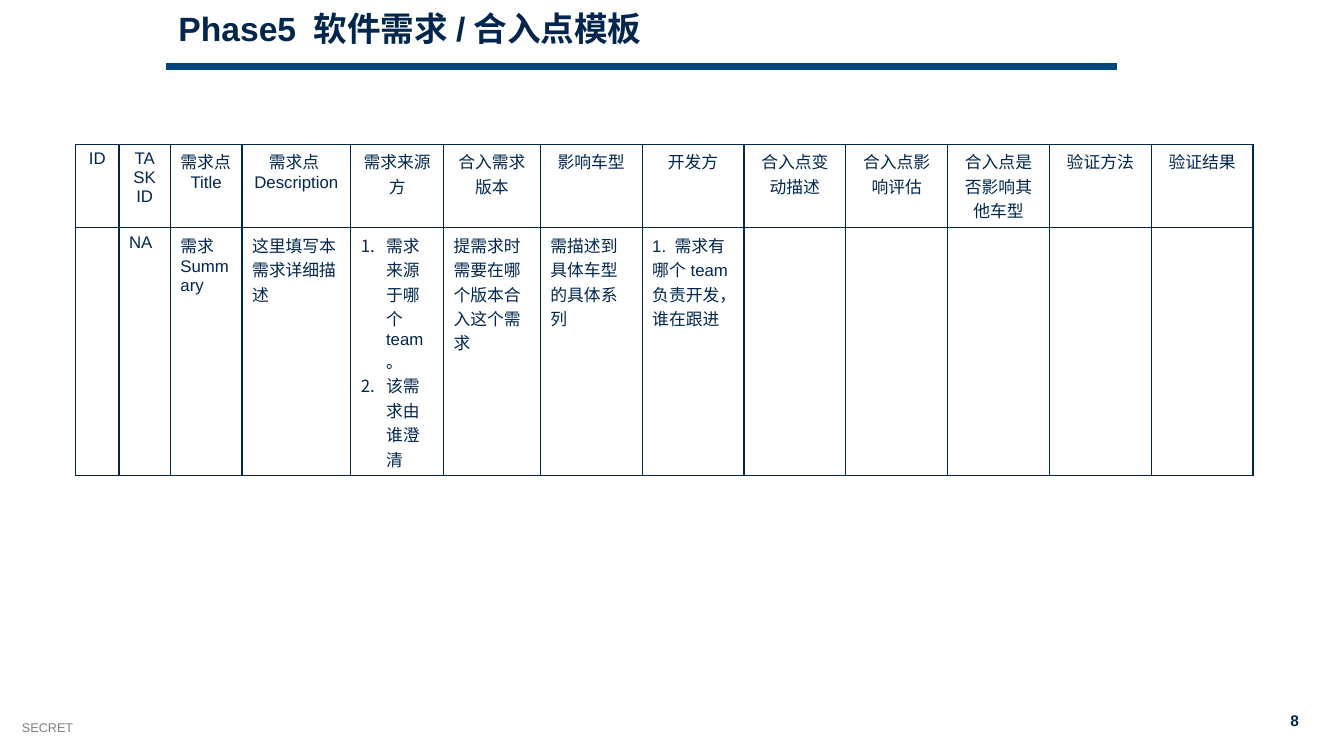
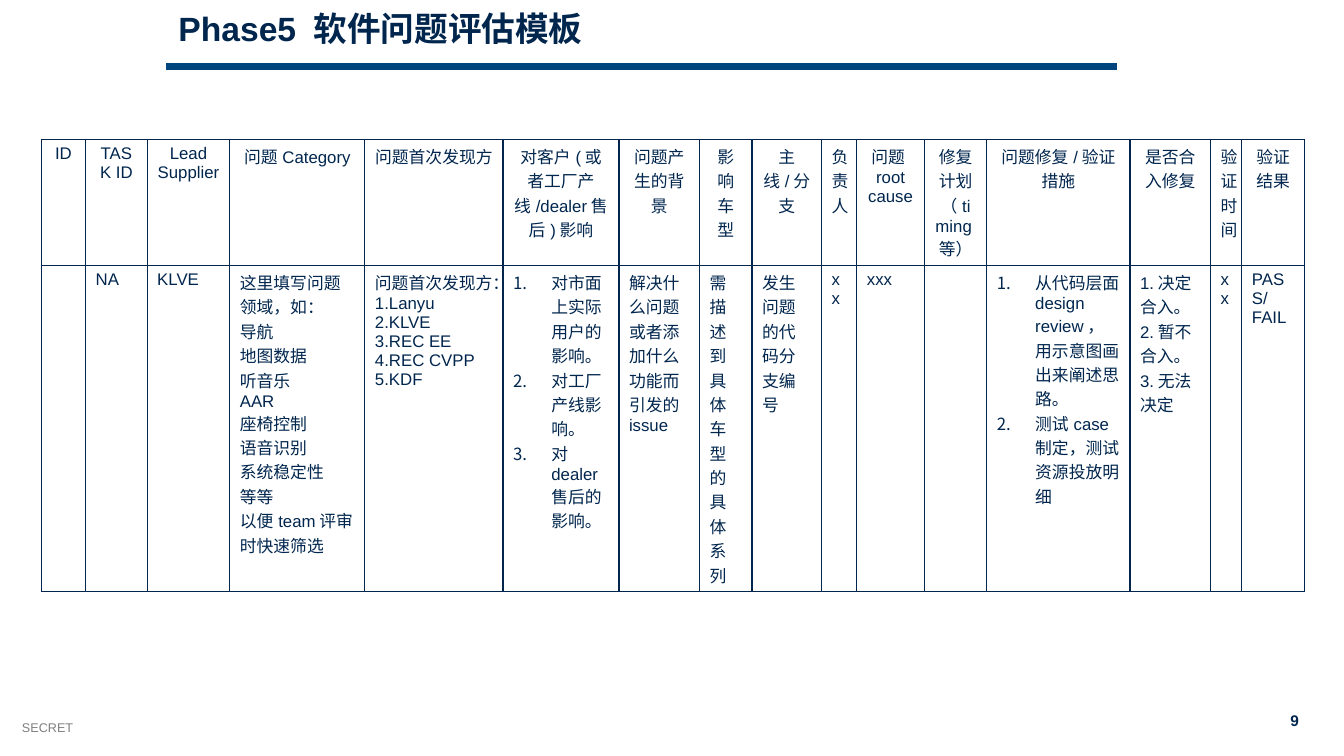
from lxml.etree import SubElement
from pptx import Presentation
from pptx.dml.color import RGBColor
from pptx.enum.shapes import MSO_CONNECTOR as Connector
from pptx.enum.text import MSO_ANCHOR as Anchor, MSO_AUTO_SIZE as AutoSize, PP_ALIGN as Align
from pptx.oxml.ns import qn
from pptx.util import Pt

EMU_PER_PX = 9144
FONT = "Arial"
COLORS = {"ink": "00264E", "rule": "00457E", "muted": "808080", "paper": "FFFFFF"}

REQUIREMENT_COLUMNS = [
    (43, "ID", ""),
    (51, "TASK ID", "NA"),
    (71, "需求点Title", "需求Summary"),
    (108, "需求点Description", "这里填写本需求详细描述"),
    (92, "需求来源方", ("需求来源于哪个team。", "该需求由谁澄清")),
    (96, "合入需求版本", "提需求时需要在哪个版本合入这个需求"),
    (101, "影响车型", "需描述到具体车型的具体系列"),
    (101, "开发方", "1. 需求有哪个team负责开发，谁在跟进"),
    (101, "合入点变动描述", ""),
    (101, "合入点影响评估", ""),
    (101, "合入点是否影响其他车型", ""),
    (101, "验证方法", ""),
    (101, "验证结果", ""),
]

ISSUE_COLUMNS = [
    (44, "ID", ""),
    (61, "TASK ID", "NA"),
    (82, "Lead Supplier", "KLVE"),
    (134, "问题Category",
     "这里填写问题领域，如：\n导航\n地图数据\n听音乐\nAAR\n座椅控制\n语音识别\n系统稳定性\n等等\n"
     "以便team评审时快速筛选"),
    (137, "问题首次发现方",
     "问题首次发现方：\n1.Lanyu\n2.KLVE\n3.REC EE\n4.REC CVPP\n5.KDF"),
    (115, "对客户(或者工厂产线/dealer售后)影响",
     ("对市面上实际用户的影响。", "对工厂产线影响。", "对dealer售后的影响。")),
    (80, "问题产生的背景", "解决什么问题或者添加什么功能而引发的issue"),
    (52, "影响车型", "需描述到具体车型的具体系列"),
    (69, "主线/分支", "发生问题的代码分支编号"),
    (35, "负责人", "xx"),
    (67, "问题root cause", "xxx"),
    (62, "修复计划（timing等）", ""),
    (142, "问题修复/验证措施",
     ("从代码层面design review，用示意图画出来阐述思路。", "测试case制定，测试资源投放明细")),
    (80, "是否合入修复", "1.决定合入。\n2.暂不合入。\n3.无法决定"),
    (31, "验证时间", "xx"),
    (62, "验证结果", "PASS/FAIL"),
]


def px(length):
    """Turn px into EMU."""
    return length * EMU_PER_PX


def color(name):
    """Return a named palette colour."""
    return RGBColor.from_string(COLORS[name])


class Deck:
    """Holds the shared style and the current page."""

    def __init__(self):
        """Start an empty wide presentation."""
        self.deck = Presentation()
        self.deck.slide_width, self.deck.slide_height = px(1333), px(750)
        self.page = None

    def style(self, para, size, ink="ink", bold=False, align=Align.LEFT):
        """Format a whole paragraph."""
        para.alignment = align
        font = para.font
        font.name, font.size, font.bold = FONT, Pt(size), bold
        font.color.rgb = color(ink)

    def new_page(self, title, number):
        """Add a page with its title, rule and footer."""
        self.page = self.deck.slides.add_slide(self.deck.slide_layouts[5])
        self.label("SECRET", (12, 709, 300, 25), 9, "muted")
        self.label(str(number), (1259, 701, 39, 29), 11, bold=True, align=Align.RIGHT)
        self.rule(165, 1108, 66)
        self.title(title)

    def title(self, text):
        """Place and format the title placeholder."""
        box = self.page.shapes.title
        box.left, box.top, box.width, box.height = map(px, (167, 7, 1176, 63))
        frame = box.text_frame
        frame.text = text
        frame.auto_size = AutoSize.NONE
        frame.vertical_anchor = Anchor.TOP
        para = frame.paragraphs[0]
        para.line_spacing = 0.9
        self.style(para, 24, bold=True)

    def label(self, text, area, size, ink="ink", bold=False, align=Align.LEFT):
        """Add a one-line text box."""
        frame = self.page.shapes.add_textbox(*map(px, area)).text_frame
        frame.word_wrap = True
        frame.text = text
        self.style(frame.paragraphs[0], size, ink, bold, align)

    def rule(self, left, right, top):
        """Draw the horizontal rule under the title."""
        line = self.page.shapes.add_connector(
            Connector.STRAIGHT, px(left), px(top), px(right), px(top))
        line.line.color.rgb = color("rule")
        line.line.width = Pt(4.5)
        SubElement(line._element.spPr, qn("a:effectLst"))

    def table(self, left, top, columns, heights, indent):
        """Add a bordered table of (width, heading, content) columns."""
        width = sum(column[0] for column in columns)
        table = self.page.shapes.add_table(
            2, len(columns), px(left), px(top), px(width), px(sum(heights))).table
        table.first_row = table.horz_banding = False
        for row, height in zip(table.rows, heights):
            row.height = px(height)
        for index, (width, heading, content) in enumerate(columns):
            table.columns[index].width = px(width)
            self.cell(table.cell(0, index), heading, indent, Align.CENTER)
            self.cell(table.cell(1, index), content, indent)

    def cell(self, cell, content, indent, align=Align.LEFT):
        """Fill a cell with plain lines, or a numbered list for a tuple."""
        self.borders(cell)
        cell.fill.solid()
        cell.fill.fore_color.rgb = color("paper")
        numbered = isinstance(content, tuple)
        cell.text_frame.text = "\n".join(content) if numbered else content
        for para in cell.text_frame.paragraphs:
            if numbered:
                self.number(para, indent)
            self.style(para, 12, align=align)

    def number(self, para, indent):
        """Give a paragraph an automatic number and a hanging indent."""
        props = para._p.get_or_add_pPr()
        props.set("marL", str(px(indent)))
        props.set("indent", str(-px(indent)))
        SubElement(props, qn("a:buAutoNum"), type="arabicPeriod")

    def borders(self, cell):
        """Draw a thin line on each side of a cell."""
        props = cell._tc.get_or_add_tcPr()
        for side in ("lnL", "lnR", "lnT", "lnB"):
            line = SubElement(props, qn(f"a:{side}"), w=str(Pt(1)))
            fill = SubElement(line, qn("a:solidFill"))
            SubElement(fill, qn("a:srgbClr"), val=COLORS["ink"])


def main():
    """Build both template pages."""
    deck = Deck()
    deck.new_page("Phase5 软件需求/合入点模板", 8)
    deck.table(75, 143, REQUIREMENT_COLUMNS, (83, 246), 25)
    deck.new_page("Phase5 软件问题评估模板", 9)
    deck.table(41, 138, ISSUE_COLUMNS, (125, 324), 38)
    deck.deck.save("out.pptx")


if __name__ == "__main__":
    main()
